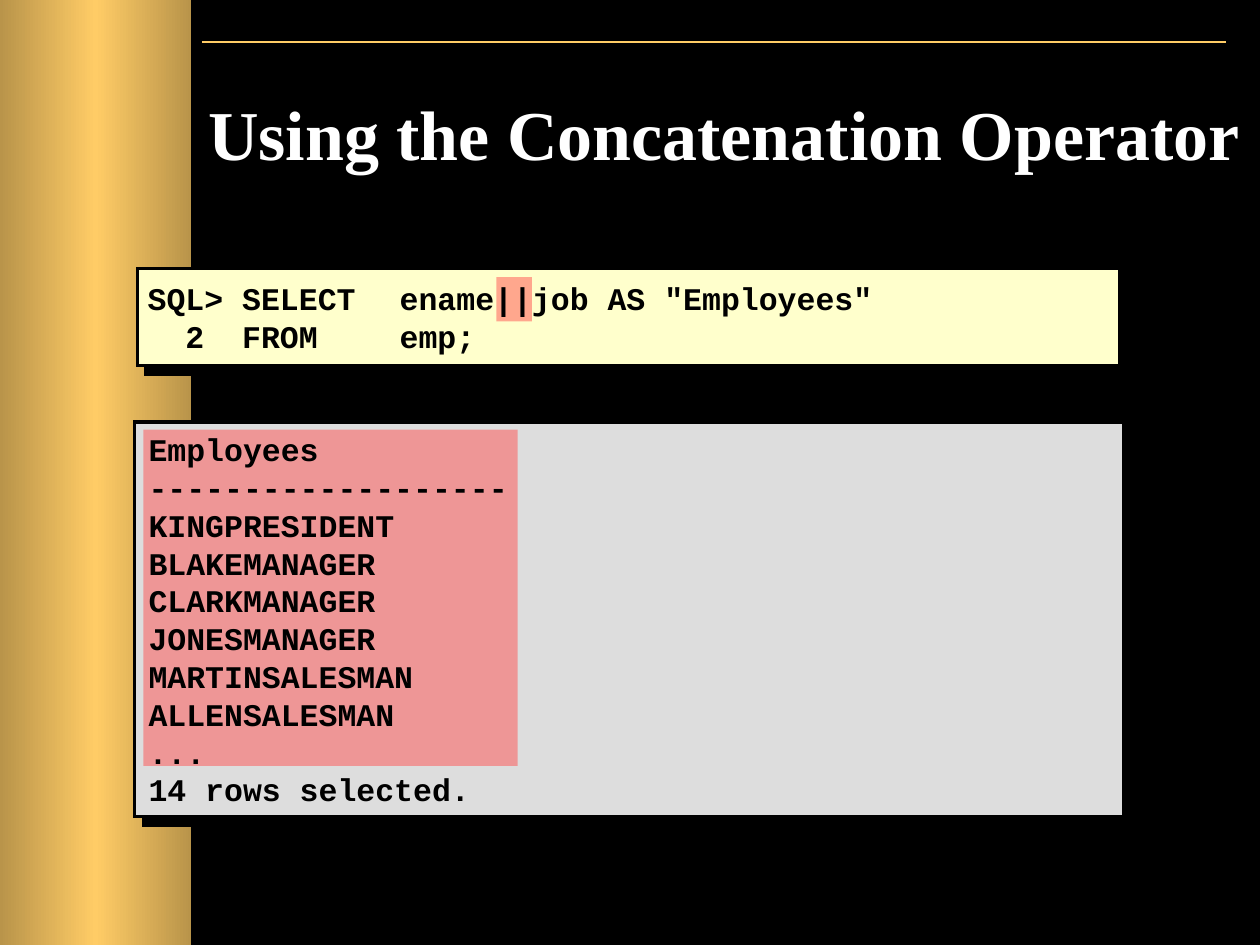
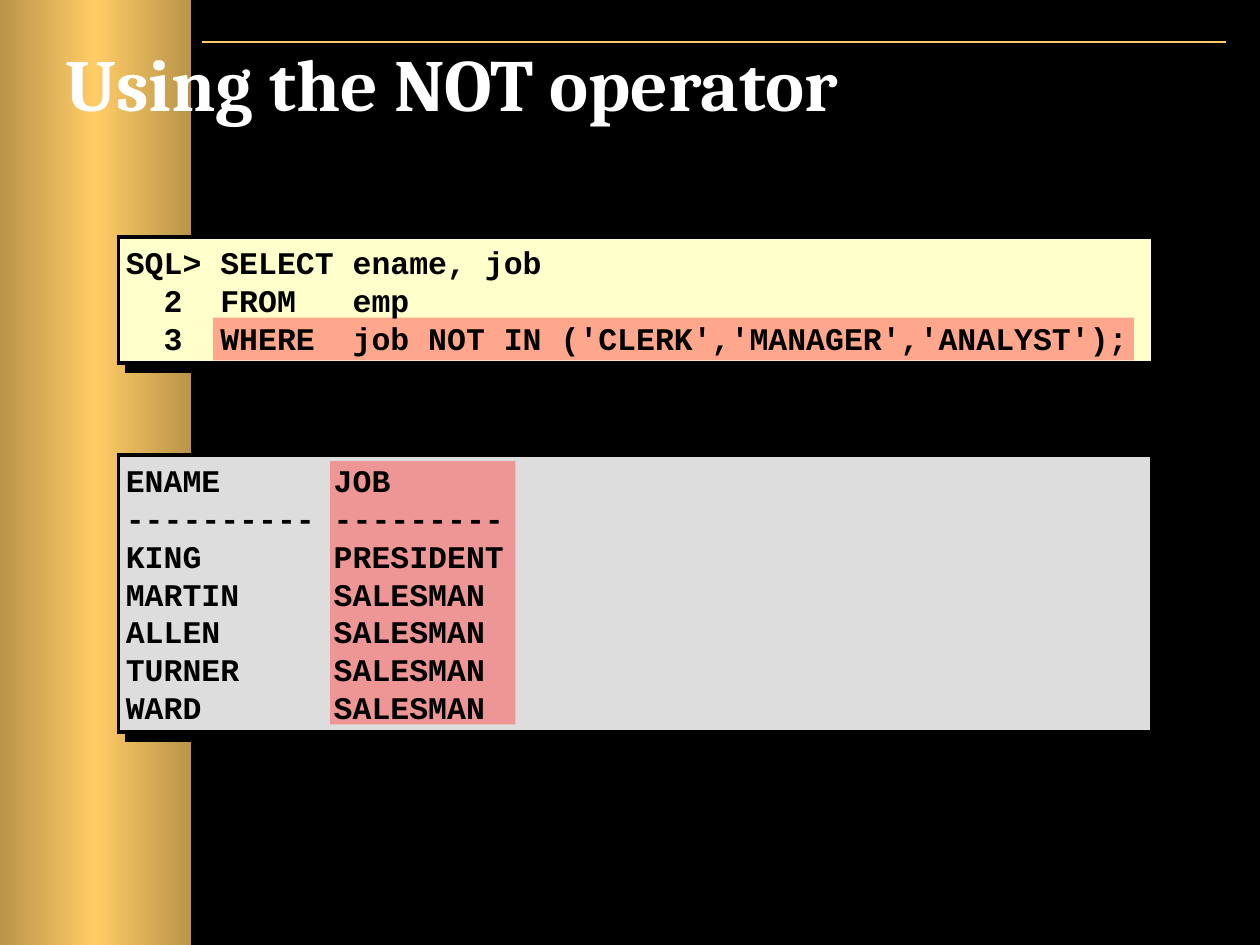
"""Build two slides that show SQL code and its results."""
import pptx
import pptx.util
import pptx.dml.color
import pptx.enum.shapes
import pptx.enum.text
import pptx.oxml
import pptx.oxml.ns
import copy

Pt = pptx.util.Pt
RGB = pptx.dml.color.RGBColor
RECT = pptx.enum.shapes.MSO_SHAPE.RECTANGLE
ALIGN = pptx.enum.text.PP_ALIGN
ANCHOR = pptx.enum.text.MSO_ANCHOR

BLACK = RGB(0x00, 0x00, 0x00)
WHITE = RGB(0xFF, 0xFF, 0xFF)
GOLD = RGB(0xFF, 0xCC, 0x66)
BRONZE = RGB(0xB9, 0x94, 0x4A)
CREAM = RGB(0xFF, 0xFF, 0xCC)
GREY = RGB(0xDD, 0xDD, 0xDD)
RED = RGB(0xFF, 0x50, 0x50)

WIDE, HIGH = 720, 540
CHAR = 10.8
CODE_TABS = [2 * CHAR, 5 * CHAR]


def add_xml(parent, tag, **attrs):
    """Append an element of the drawing namespace and return it."""
    node = pptx.oxml.parse_xml(f"<a:{tag} {pptx.oxml.ns.nsdecls('a')}/>")
    for name, value in attrs.items():
        node.set(name, str(value))
    parent.append(node)
    return node


def add_rect(slide, box):
    """Add a plain rectangle without line or shadow."""
    rect = slide.shapes.add_shape(RECT, *map(Pt, box))
    rect.shadow.inherit = False
    rect.line.fill.background()
    return rect


def add_text(slide, box, lines, font, size, color, align=ALIGN.LEFT):
    """Add a bold text box with one paragraph for each line."""
    frame = slide.shapes.add_textbox(*map(Pt, box)).text_frame
    frame.word_wrap = True
    frame.text = "\n".join(lines)
    for para in frame.paragraphs:
        para.alignment = align
        for run in para.runs:
            run.font.name = font
            run.font.size = Pt(size)
            run.font.bold = True
            run.font.color.rgb = color
    return frame


def add_base(deck):
    """Add a black slide with the gold band and the top rule."""
    slide = deck.slides.add_slide(deck.slide_layouts[6])
    slide.background.fill.solid()
    slide.background.fill.fore_color.rgb = BLACK

    rule = slide.shapes.add_connector(
        pptx.enum.shapes.MSO_CONNECTOR.STRAIGHT, Pt(115.4), Pt(24), Pt(700.8), Pt(24))
    rule.line.color.rgb = GOLD
    rule.line.width = Pt(1)
    add_xml(rule._element.spPr, "effectLst")

    fill = add_rect(slide, (0, 0, 109.2, HIGH)).fill
    fill.gradient()
    fill.gradient_angle = 0
    first = fill.gradient_stops[0]._gs
    first.addnext(copy.deepcopy(first))
    for stop, place, color in zip(fill.gradient_stops, (0, 0.5, 1), (BRONZE, GOLD, BRONZE)):
        stop.position = place
        stop.color.rgb = color
    return slide


def add_mark(slide, box):
    """Add a half clear red highlight."""
    mark = add_rect(slide, box)
    mark.fill.solid()
    mark.fill.fore_color.rgb = RED
    color = mark._element.spPr.find(".//" + pptx.oxml.ns.qn("a:srgbClr"))
    add_xml(color, "alpha", val=50000)


def add_panel(slide, box, fill, mark, lines, shift, tabs):
    """Add a shadowed panel with a highlight and lines of code."""
    left, top, width, height = box
    panel = add_rect(slide, box)
    panel.fill.solid()
    panel.fill.fore_color.rgb = fill
    panel.line.color.rgb = BLACK
    panel.line.width = Pt(2)
    props = panel._element.spPr
    add_xml(props.find(pptx.oxml.ns.qn("a:ln")), "miter", lim=800000)
    effects = props.find(pptx.oxml.ns.qn("a:effectLst"))
    shade = add_xml(effects, "outerShdw", dist=Pt(7.1), dir=45 * 60000,
                    algn="ctr", rotWithShape=0)
    add_xml(shade, "srgbClr", val=BLACK)

    dx, dy, *size = mark
    add_mark(slide, (left + dx, top + dy, *size))
    frame = add_text(slide, (left + shift, top - 1, width + 2, height + 2),
                     lines, "Courier New", 18, BLACK)
    frame.vertical_anchor = ANCHOR.MIDDLE
    if tabs:
        for para in frame.paragraphs:
            stops = add_xml(para._p.get_or_add_pPr(), "tabLst")
            for tab in tabs:
                add_xml(stops, "tab", pos=Pt(tab), algn="l")


def add_concat(deck):
    """Build the slide on the concatenation operator."""
    slide = add_base(deck)
    add_text(slide, (72, 48.2, 683.3, 90), ["Using the Concatenation Operator"],
             "Times New Roman", 40, WHITE, ALIGN.CENTER)
    add_panel(slide, (78.5, 153.4, 561.6, 55.4), CREAM, (205.2, 5, 20.2, 25.2),
              ['SQL>\tSELECT\tename||job AS "Employees"', "\t2\tFROM\temp;"],
              -1.2, CODE_TABS + [144])
    add_panel(slide, (77, 241.2, 565.2, 225.4), GREY, (5, 4.3, 213.8, 192.2),
              ["Employees", "-" * 19, "KINGPRESIDENT", "BLAKEMANAGER",
               "CLARKMANAGER", "JONESMANAGER", "MARTINSALESMAN",
               "ALLENSALESMAN", "...", "14 rows selected."], 0.8, [])


def add_not(deck):
    """Build the slide on the NOT operator."""
    slide = add_base(deck)
    add_panel(slide, (67.7, 135.4, 591.1, 72), CREAM, (54, 46.1, 526.3, 24.5),
              ["SQL>\tSELECT\tename, job", "\t2\tFROM\temp",
               "\t3\tWHERE\tjob NOT IN ('CLERK','MANAGER','ANALYST');"],
              -2.9, CODE_TABS + [12 * CHAR])
    rows = [("ENAME", "JOB"), ("-" * 10, "-" * 9), ("KING", "PRESIDENT")]
    rows += [(name, "SALESMAN") for name in ("MARTIN", "ALLEN", "TURNER", "WARD")]
    add_panel(slide, (67.7, 259.9, 590.4, 158.4), GREY, (121, 3.6, 105.8, 150.5),
              ["\t".join(row) for row in rows], -2.9, [11 * CHAR])
    add_text(slide, (30.2, 18, 648, 90), ["Using the NOT operator"],
             "Cambria", 42, WHITE)


def main():
    """Build and save the deck."""
    deck = pptx.Presentation()
    deck.slide_width, deck.slide_height = Pt(WIDE), Pt(HIGH)
    add_concat(deck)
    add_not(deck)
    deck.save("out.pptx")


if __name__ == "__main__":
    main()
